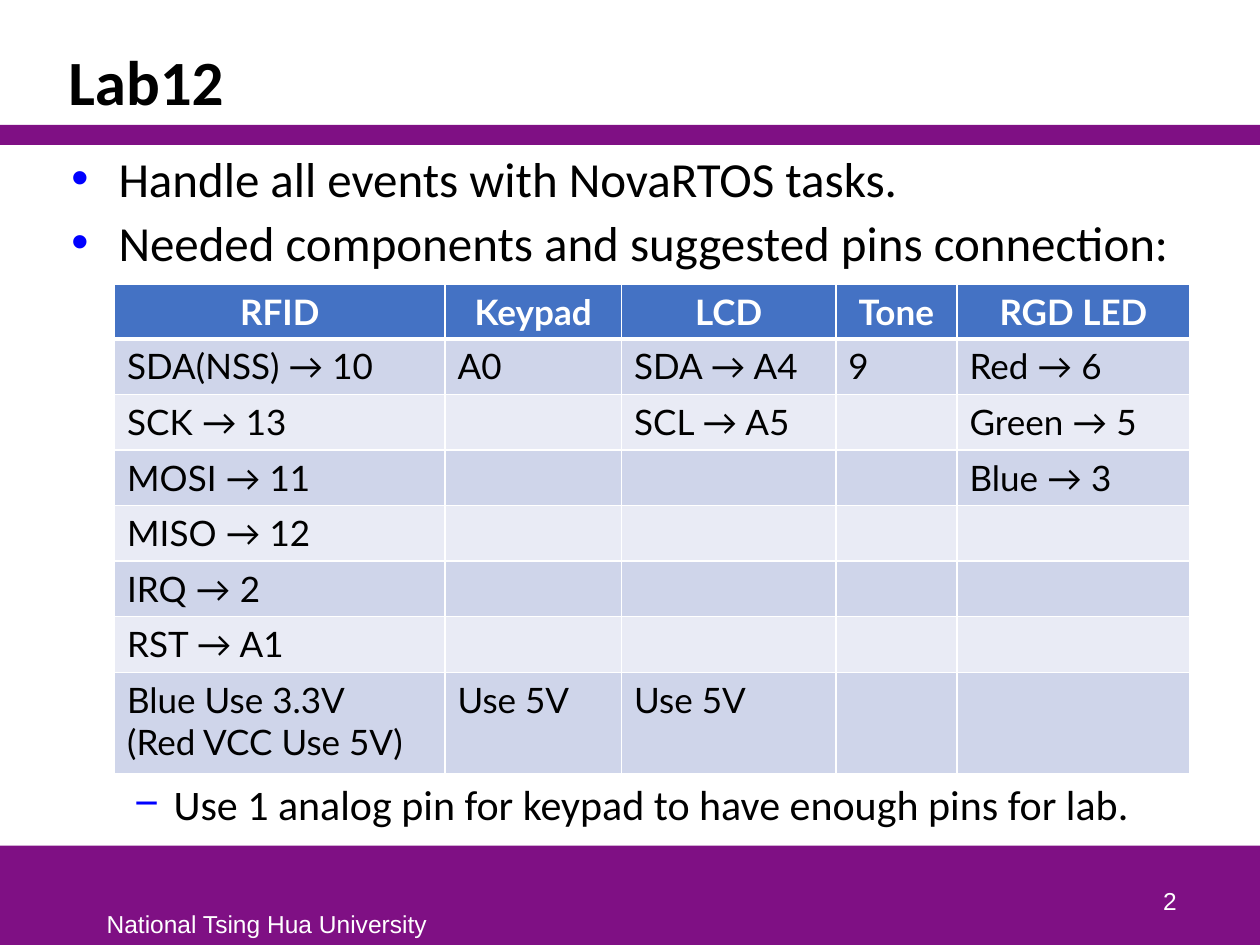
from dataclasses import dataclass
from typing import Optional

from lxml import etree
from pptx import Presentation
from pptx.dml.color import RGBColor
from pptx.enum.shapes import MSO_SHAPE
from pptx.enum.text import MSO_ANCHOR, PP_ALIGN
from pptx.oxml.ns import qn
from pptx.util import Cm, Pt

RECTANGLE = MSO_SHAPE.RECTANGLE
TOP, BOTTOM = MSO_ANCHOR.TOP, MSO_ANCHOR.BOTTOM
LEFT, CENTER, RIGHT = PP_ALIGN.LEFT, PP_ALIGN.CENTER, PP_ALIGN.RIGHT


@dataclass(frozen=True)
class Theme:
    purple: str = "7F1084"
    bullet: str = "0000FF"
    ink: str = "000000"
    white: str = "FFFFFF"
    header: str = "4472C4"
    bands: tuple[str, str] = ("CFD5EA", "E9EBF5")
    body_font: str = "Calibri"
    bullet_font: str = "Arial"
    table_font: str = "Lato"
    footer_font: str = "Arial"
    title_size: int = 36
    body_size: int = 28
    detail_size: int = 24
    table_size: int = 20
    footer_size: int = 14


THEME = Theme()


@dataclass(frozen=True)
class Box:
    left: float
    top: float
    width: float
    height: float

    def lengths(self) -> tuple[Cm, Cm, Cm, Cm]:
        return Cm(self.left), Cm(self.top), Cm(self.width), Cm(self.height)


@dataclass(frozen=True)
class TextStyle:
    font: str
    size: int
    color: str
    bold: bool = False
    align: PP_ALIGN = LEFT
    line_spacing: Optional[float] = None


@dataclass(frozen=True)
class Bullet:
    symbol: str
    margin: float
    hanging: float


@dataclass(frozen=True)
class TextBlock:
    box: Box
    lines: tuple[str, ...]
    style: TextStyle
    bullet: Optional[Bullet] = None
    anchor: MSO_ANCHOR = TOP
    wrap: bool = True


BARS = (Box(0, 17.05, 25.4, 2), Box(0, 2.52, 25.4, 0.4))

FOOTER = TextStyle(THEME.footer_font, THEME.footer_size, THEME.white)
PAGE_NUMBER = TextStyle(THEME.footer_font, THEME.footer_size, THEME.white, align=RIGHT)
TITLE = TextStyle(THEME.body_font, THEME.title_size, THEME.ink, True, line_spacing=0.85)
BODY = TextStyle(THEME.body_font, THEME.body_size, THEME.ink)
DETAIL = TextStyle(THEME.body_font, THEME.detail_size, THEME.ink)
HEADER_CELL = TextStyle(THEME.table_font, THEME.table_size, THEME.white, True, CENTER)
BODY_CELL = TextStyle(THEME.table_font, THEME.table_size, THEME.ink)

TEXT_BLOCKS = (
    TextBlock(Box(1.9, 18.21, 7.01, 0.84), ("National Tsing Hua University",), FOOTER, wrap=False),
    TextBlock(Box(1.13, 0.64, 23.16, 1.88), ("Lab12",), TITLE, anchor=BOTTOM),
    TextBlock(
        Box(1.19, 2.87, 23.11, 2.8),
        ("Handle all events with NovaRTOS tasks.", "Needed components and suggested pins connection:"),
        BODY,
        Bullet("•", 0.95, 0.95),
    ),
    TextBlock(
        Box(1.19, 15.56, 23.11, 1.3),
        ("Use 1 analog pin for keypad to have enough pins for lab.",),
        DETAIL,
        Bullet("−", 2.06, 0.79),
    ),
    TextBlock(Box(18.69, 17.3, 5.28, 1.27), ("2",), PAGE_NUMBER, anchor=BOTTOM),
)

PIN_ROWS = (
    ("RFID", "Keypad", "LCD", "Tone", "RGD LED"),
    ("SDA(NSS) → 10", "A0", "SDA → A4", "9", "Red → 6"),
    ("SCK → 13", "", "SCL → A5", "", "Green → 5"),
    ("MOSI → 11", "", "", "", "Blue → 3"),
    ("MISO → 12", "", "", "", ""),
    ("IRQ → 2", "", "", "", ""),
    ("RST → A1", "", "", "", ""),
    ("Blue Use 3.3V\n(Red VCC Use 5V)", "Use 5V", "Use 5V", "", ""),
)
COLUMN_WIDTHS = (6.66, 3.56, 4.32, 2.44, 4.7)
ROW_HEIGHTS = (1.07, *[1.12] * 6, 2.05)
TABLE_BOX = Box(2.31, 5.73, sum(COLUMN_WIDTHS), sum(ROW_HEIGHTS))


def style_paragraph(paragraph, style: TextStyle) -> None:
    paragraph.alignment = style.align
    if style.line_spacing:
        paragraph.line_spacing = style.line_spacing
    font = paragraph.font
    font.name = style.font
    font.size = Pt(style.size)
    font.bold = style.bold
    font.color.rgb = RGBColor.from_string(style.color)


def add_bullet(paragraph, bullet: Bullet) -> None:
    paragraph.space_before = Pt(3)
    properties = paragraph._p.get_or_add_pPr()
    properties.set("marL", str(Cm(bullet.margin)))
    properties.set("indent", str(-Cm(bullet.hanging)))
    color = etree.Element(qn("a:buClr"))
    etree.SubElement(color, qn("a:srgbClr"), val=THEME.bullet)
    typeface = etree.Element(qn("a:buFont"), typeface=THEME.bullet_font)
    symbol = etree.Element(qn("a:buChar"), char=bullet.symbol)
    default_run = properties.find(qn("a:defRPr"))
    for element in (color, typeface, symbol):
        default_run.addprevious(element)


def add_bar(slide, box: Box) -> None:
    shape = slide.shapes.add_shape(RECTANGLE, *box.lengths())
    shape.shadow.inherit = False
    shape.fill.solid()
    shape.fill.fore_color.rgb = RGBColor.from_string(THEME.purple)
    shape.line.fill.background()


def add_text(slide, block: TextBlock) -> None:
    frame = slide.shapes.add_textbox(*block.box.lengths()).text_frame
    frame.word_wrap = block.wrap
    frame.vertical_anchor = block.anchor
    frame.text = "\n".join(block.lines)
    for paragraph in frame.paragraphs:
        style_paragraph(paragraph, block.style)
        if block.bullet:
            add_bullet(paragraph, block.bullet)


def add_cell_borders(cell, top: float, bottom: float) -> None:
    properties = cell._tc.get_or_add_tcPr()
    for side, width in (("lnL", 1), ("lnR", 1), ("lnT", top), ("lnB", bottom)):
        line = etree.SubElement(properties, qn(f"a:{side}"), w=str(Pt(width)))
        fill = etree.SubElement(line, qn("a:solidFill"))
        etree.SubElement(fill, qn("a:srgbClr"), val=THEME.white)


def add_pin_table(slide) -> None:
    frame = slide.shapes.add_table(len(PIN_ROWS), len(COLUMN_WIDTHS), *TABLE_BOX.lengths())
    table = frame.table
    for column, width in zip(table.columns, COLUMN_WIDTHS):
        column.width = Cm(width)
    for index, (row, height, texts) in enumerate(zip(table.rows, ROW_HEIGHTS, PIN_ROWS)):
        row.height = Cm(height)
        is_header = index == 0
        style = HEADER_CELL if is_header else BODY_CELL
        color = THEME.header if is_header else THEME.bands[(index - 1) % 2]
        for cell, text in zip(row.cells, texts):
            add_cell_borders(cell, 3 if index == 1 else 1, 3 if is_header else 1)
            cell.fill.solid()
            cell.fill.fore_color.rgb = RGBColor.from_string(color)
            cell.text = text
            for paragraph in cell.text_frame.paragraphs:
                style_paragraph(paragraph, style)


def main() -> None:
    presentation = Presentation()
    presentation.slide_width = Cm(25.4)
    presentation.slide_height = Cm(19.05)
    slide = presentation.slides.add_slide(presentation.slide_layouts[6])
    for box in BARS:
        add_bar(slide, box)
    for block in TEXT_BLOCKS:
        add_text(slide, block)
    add_pin_table(slide)
    presentation.save("out.pptx")


if __name__ == "__main__":
    main()
